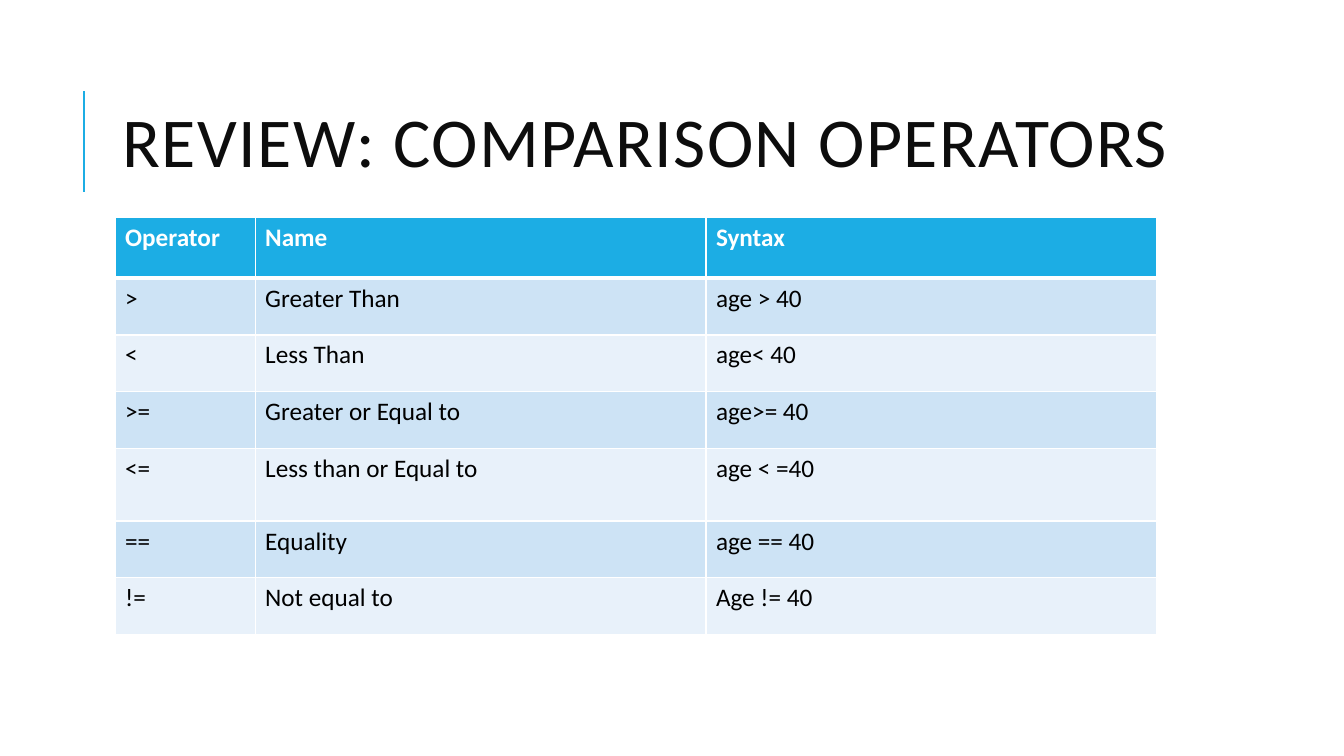
from lxml.etree import SubElement
from pptx import Presentation
from pptx.dml.color import RGBColor
from pptx.enum.shapes import MSO_CONNECTOR as Connector
from pptx.enum.text import MSO_ANCHOR as Anchor
from pptx.oxml import parse_xml
from pptx.oxml.ns import nsdecls, qn
from pptx.util import Cm, Pt

FONT = "Calibri"
ACCENT, WHITE, BLACK, TITLE_COLOR = "1CADE4", "FFFFFF", "000000", "0D0D0D"
BANDS = ("CDE3F5", "E8F1FA")

HEADER = ("Operator", "Name", "Syntax")
OPERATORS = (
    (">", "Greater Than", "age > 40"),
    ("<", "Less Than", "age< 40"),
    (">=", "Greater or Equal to", "age>= 40"),
    ("<=", "Less than or Equal to ", "age < =40"),
    ("==", "Equality", "age == 40"),
    ("!=", "Not equal to ", "Age != 40"),
)
COLUMN_WIDTHS = (3.53, 11.36, 11.36)
HEADER_HEIGHT, ROW_HEIGHT, TALL_HEIGHT = 1.52, 1.43, 1.83
TALL_OPERATOR = "<="


def color(hex_string):
    """Turn a hex string into a colour."""
    return RGBColor.from_string(hex_string)


def add_run(paragraph, text, size, hex_color, bold=False):
    """Append one formatted run and return it."""
    run = paragraph.add_run()
    run.text = text
    run.font.name = FONT
    run.font.size = Pt(size)
    run.font.bold = bold
    run.font.color.rgb = color(hex_color)
    return run


def add_rule(slide, x, top, bottom):
    """Draw the vertical accent line beside the title."""
    line = slide.shapes.add_connector(
        Connector.STRAIGHT, Cm(x), Cm(bottom), Cm(x), Cm(top))
    line.line.color.rgb = color(ACCENT)
    line.line.width = Pt(1.5)
    SubElement(line._element.spPr, qn("a:effectLst"))


def add_title(slide, text, left, top, width, height):
    """Add the title, centred vertically in its box."""
    box = slide.shapes.add_textbox(Cm(left), Cm(top), Cm(width), Cm(height))
    frame = box.text_frame
    frame.word_wrap = True
    frame.vertical_anchor = Anchor.MIDDLE
    paragraph = frame.paragraphs[0]
    paragraph.line_spacing = 0.8
    run = add_run(paragraph, text, 50, TITLE_COLOR)
    run.font._element.set("spc", "100")


def set_borders(cell, top=1, bottom=1):
    """Give a cell white borders; widths are in points."""
    properties = cell._tc.get_or_add_tcPr()
    widths = {"lnL": 1, "lnR": 1, "lnT": top, "lnB": bottom}
    for position, (tag, width) in enumerate(widths.items()):
        properties.insert(position, parse_xml(
            f'<a:{tag} {nsdecls("a")} w="{Pt(width)}"><a:solidFill>'
            f'<a:srgbClr val="{WHITE}"/></a:solidFill></a:{tag}>'))


def fill_cell(cell, text, fill, text_color, bold):
    """Write one cell and set its background."""
    cell.fill.solid()
    cell.fill.fore_color.rgb = color(fill)
    add_run(cell.text_frame.paragraphs[0], text, 18, text_color, bold)


def add_operator_table(slide, left, top):
    """Build the table of operators with a header and banded rows."""
    rows = (HEADER, *OPERATORS)
    heights = [HEADER_HEIGHT] + [
        TALL_HEIGHT if operator[0] == TALL_OPERATOR else ROW_HEIGHT
        for operator in OPERATORS]
    table = slide.shapes.add_table(
        len(rows), len(HEADER), Cm(left), Cm(top),
        Cm(sum(COLUMN_WIDTHS)), Cm(sum(heights))).table
    table.horz_banding = False
    for column, width in zip(table.columns, COLUMN_WIDTHS):
        column.width = Cm(width)
    for index, (texts, height) in enumerate(zip(rows, heights)):
        table.rows[index].height = Cm(height)
        is_header = index == 0
        fill = ACCENT if is_header else BANDS[(index - 1) % 2]
        for cell, text in zip(table.rows[index].cells, texts):
            fill_cell(cell, text, fill, WHITE if is_header else BLACK, is_header)
            set_borders(cell, top=3 if index == 1 else 1,
                        bottom=3 if is_header else 1)


def main():
    """Create the slide and save it."""
    presentation = Presentation()
    presentation.slide_width, presentation.slide_height = Cm(33.87), Cm(19.05)
    slide = presentation.slides.add_slide(presentation.slide_layouts[6])
    add_rule(slide, 2.12, 2.29, 4.83)
    add_title(slide, "REVIEW: COMPARISON OPERATORS", 2.84, 1.63, 27, 4.17)
    add_operator_table(slide, 2.9, 5.49)
    presentation.save("out.pptx")


main()
